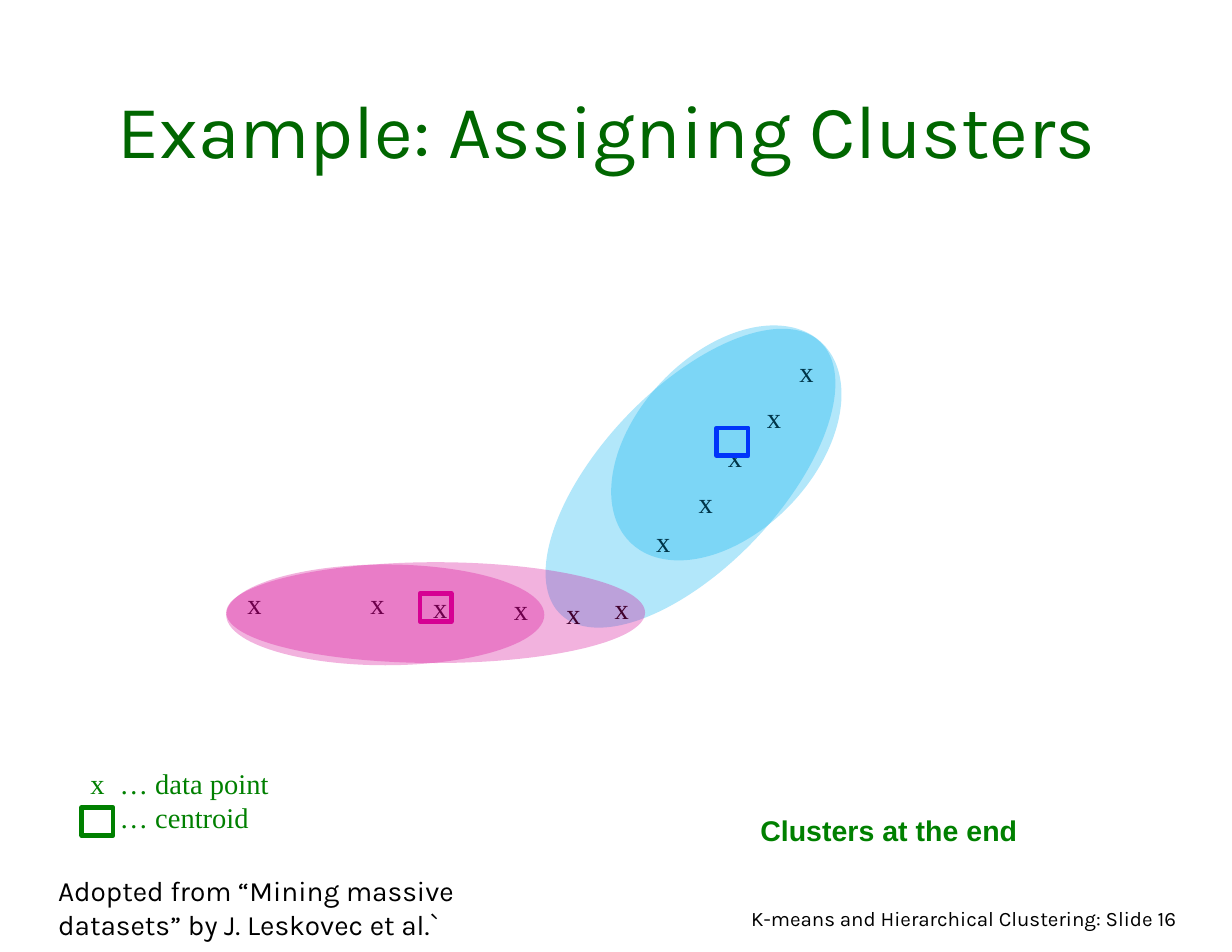
from lxml import etree
from pptx import Presentation
from pptx.dml.color import RGBColor
from pptx.enum.shapes import MSO_SHAPE as SHAPE
from pptx.enum.text import MSO_ANCHOR as ANCHOR, PP_ALIGN as ALIGN
from pptx.oxml.ns import qn
from pptx.util import Inches, Pt

COLORS = {
    "black": "000000", "title": "006600", "green": "008000",
    "blue": "0000FF", "sky": "00B0F0", "magenta": "D60093",
}
SERIF, SANS, BODY = "Times New Roman", "Arial", "Karla"
LABEL_SIZE = 18.3
POINT_SIZE = (0.34, 0.41)
CENTROID_SIZE = (0.28, 0.25)
TILT = 43.6

# Left and top of each data point's box
POINTS = [
    (2.11, 5.18), (3.21, 5.18), (3.77, 5.22), (4.49, 5.24), (4.96, 5.27), (5.39, 5.23),
    (5.76, 4.63), (6.14, 4.28), (6.4, 3.87), (6.75, 3.52), (7.04, 3.11),
]
CENTROIDS = [(6.4, 3.82, "blue"), (3.75, 5.3, "magenta")]
OUTER_SKY = (5.37, 2.59, 1.59, 3.36)
INNER_SKY = (5.69, 2.72, 1.59, 2.47)
MAGENTA_CLUSTERS = [(2.02, 5.04, 2.84, 0.9), (2.02, 5.02, 3.74, 0.9)]


def rgb(name):
    return RGBColor.from_string(COLORS[name])


def inches(box):
    return [Inches(v) for v in box]


def add_text(slide, box, lines, size, font, color, bold=False,
             align=ALIGN.LEFT, anchor=ANCHOR.TOP, wrap=True):
    tf = slide.shapes.add_textbox(*inches(box)).text_frame
    tf.word_wrap = wrap
    tf.vertical_anchor = anchor
    for i, line in enumerate(lines):
        p = tf.paragraphs[0] if i == 0 else tf.add_paragraph()
        p.text = line
        p.alignment = align
        p.font.size = Pt(size)
        p.font.name = font
        p.font.bold = bold
        p.font.color.rgb = rgb(color)
    return tf


def add_cluster(slide, box, color, rotation=0):
    """Place a cluster as a 30 % opaque ellipse."""
    sp = slide.shapes.add_shape(SHAPE.OVAL, *inches(box))
    sp.shadow.inherit = False
    sp.rotation = rotation
    sp.fill.solid()
    sp.fill.fore_color.rgb = rgb(color)
    sp.line.fill.background()
    fill = sp.fill._xPr.find(qn("a:solidFill"))
    etree.SubElement(fill[0], qn("a:alpha"), val="30000")


def add_centroid(slide, left, top, color):
    sp = slide.shapes.add_shape(SHAPE.RECTANGLE, *inches((left, top, *CENTROID_SIZE)))
    sp.shadow.inherit = False
    sp.fill.background()
    sp.line.color.rgb = rgb(color)
    sp.line.width = Pt(3)


def add_diagram(slide):
    add_cluster(slide, OUTER_SKY, "sky", TILT)
    for left, top in POINTS:
        add_text(slide, (left, top, *POINT_SIZE), ["x"], LABEL_SIZE, SERIF, "black", wrap=False)
    for left, top, color in CENTROIDS:
        add_centroid(slide, left, top, color)
    for box in MAGENTA_CLUSTERS:
        add_cluster(slide, box, "magenta")
    add_cluster(slide, INNER_SKY, "sky", TILT)


def add_legend(slide, box):
    left, top = box[:2]
    tf = add_text(slide, box, ["x\t… data point", "\t… centroid"],
                  LABEL_SIZE, SERIF, "green", wrap=False)
    for p in tf.paragraphs:
        tabs = etree.Element(qn("a:tabLst"))
        etree.SubElement(tabs, qn("a:tab"), pos=str(Inches(0.26)), algn="l")
        p._p.get_or_add_pPr().insert(0, tabs)
    add_centroid(slide, left + 0.02, top + 0.42, "green")


def main():
    prs = Presentation()
    prs.slide_width, prs.slide_height = Inches(11), Inches(8.5)
    slide = prs.slides.add_slide(prs.slide_layouts[6])
    add_text(slide, (6.29, 8.04, 4.31, 0.32), ["K-means and Hierarchical Clustering: Slide 16"],
             13.2, BODY, "black", align=ALIGN.RIGHT)
    add_text(slide, (0.28, 0.28, 10.27, 1.32), ["Example: Assigning Clusters"],
             48.4, BODY, "title", align=ALIGN.CENTER, anchor=ANCHOR.BOTTOM)
    add_diagram(slide)
    add_legend(slide, (0.71, 6.79, 1.83, 0.73))
    add_text(slide, (6.69, 7.21, 2.55, 0.41), ["Clusters at the end"],
             LABEL_SIZE, SANS, "green", bold=True, wrap=False)
    add_text(slide, (0.42, 7.75, 4.87, 0.71),
             ["Adopted from “Mining massive datasets” by J. Leskovec et al.`"], 18, BODY, "black")
    prs.save("out.pptx")


if __name__ == "__main__":
    main()
